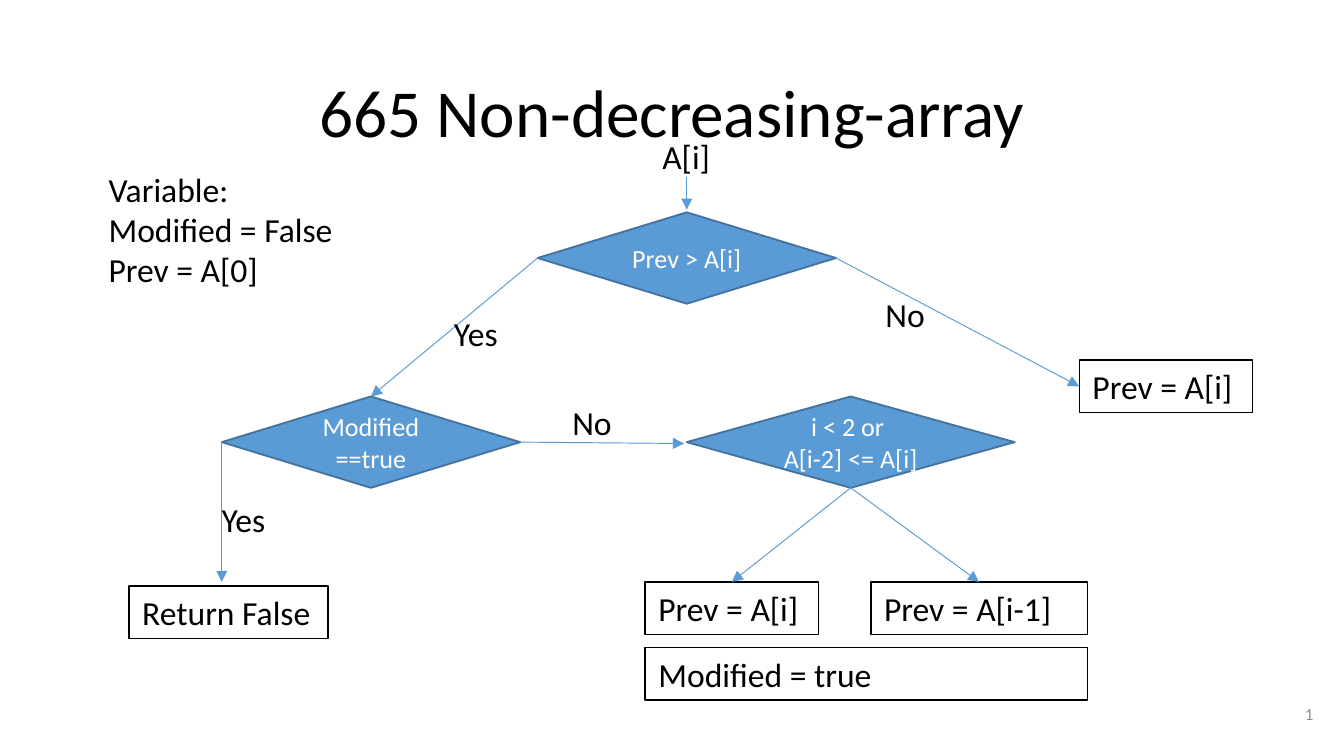
"""Build a flowchart slide for the non-decreasing array problem."""
from pptx import Presentation
from pptx.dml.color import RGBColor
from pptx.enum import shapes, text
from pptx.oxml.ns import qn
from pptx.util import Inches, Pt
from lxml import etree

BLACK = RGBColor(0, 0, 0)
WHITE = RGBColor(255, 255, 255)
GRAY = RGBColor(0x8C, 0x8C, 0x8C)
BLUE = RGBColor(0x5B, 0x9B, 0xD5)
DARK_BLUE = RGBColor(0x43, 0x73, 0x9E)
TOP, LEFT, BOTTOM, RIGHT = range(4)
MIDDLE = text.MSO_ANCHOR.MIDDLE
CENTER = text.PP_ALIGN.CENTER

TITLE = "665 Non-decreasing-array"
VARIABLES = ["Variable:", "Modified = False", "Prev = A[0]"]
LABELS = [
    ("A[i]", 4.83, 0.96, 0.56, False),
    ("Yes", 3.28, 2.28, 0.53, False),
    ("No", 6.49, 2.14, 0.5, False),
    ("Yes", 1.55, 3.66, 0.58, True),
    ("No", 4.16, 2.94, 0.53, True),
]
DECISIONS = {
    "compare": (["Prev > A[i]"], 4, 1.58, 2.22),
    "modified": (["Modified ==true"], 1.65, 2.95, 2.22),
    "before": (["i < 2 or ", "A[i-2] <= A[i]"], 5.11, 2.95, 2.44),
}
ACTIONS = {
    "fail": ("Return False", 0.96, 4.36, 1.48),
    "keep": ("Prev = A[i]", 4.8, 4.33, 1.29),
    "lower": ("Prev = A[i-1]", 6.48, 4.33, 1.61),
    "advance": ("Prev = A[i]", 8.03, 2.68, 1.29),
    "mark": ("Modified = true", 4.8, 4.82, 3.29),
}
ARROWS = [
    ((5.11, 1.32), (5.11, 1.56)),
    (("compare", LEFT), ("modified", TOP)),
    (("compare", RIGHT), ("advance", LEFT)),
    (("modified", LEFT), (1.65, 4.33)),
    (("modified", RIGHT), (5.09, 3.3)),
    (("before", BOTTOM), ("keep", TOP)),
    (("before", BOTTOM), ("lower", TOP)),
]


def write(sp, lines, size=18, color=BLACK, align=text.PP_ALIGN.LEFT,
          anchor=text.MSO_ANCHOR.TOP, wrap=True, spacing=None, inset=0.05):
    tf = sp.text_frame
    tf.word_wrap = wrap
    tf.vertical_anchor = anchor
    tf.margin_left = tf.margin_right = Inches(0.1)
    tf.margin_top = tf.margin_bottom = Inches(inset)
    for i, line in enumerate(lines):
        p = tf.paragraphs[0] if i == 0 else tf.add_paragraph()
        p.alignment = align
        p.line_spacing = spacing
        r = p.add_run()
        r.text = line
        r.font.size = Pt(size)
        r.font.name = "Calibri"
        r.font.color.rgb = color


def add_text(s, lines, x, y, w, h, **fmt):
    write(s.shapes.add_textbox(*map(Inches, (x, y, w, h))), lines, **fmt)


def add_box(s, kind, x, y, w, h, line, width, fill=None):
    sp = s.shapes.add_shape(kind, *map(Inches, (x, y, w, h)))
    sp.shadow.inherit = False
    if fill is None:
        sp.fill.background()
    else:
        sp.fill.solid()
        sp.fill.fore_color.rgb = fill
    sp.line.color.rgb = line
    sp.line.width = Pt(width)
    return sp


def add_arrow(s, nodes, start, end):
    points = [(0, 0) if pt[0] in nodes else pt for pt in (start, end)]
    c = s.shapes.add_connector(shapes.MSO_CONNECTOR.STRAIGHT,
                               *(Inches(v) for pt in points for v in pt))
    for pt, join in ((start, c.begin_connect), (end, c.end_connect)):
        if pt[0] in nodes:
            join(nodes[pt[0]], pt[1])
    c.line.color.rgb = BLUE
    c.line.width = Pt(0.5)
    etree.SubElement(c.line._get_or_add_ln(), qn("a:tailEnd"), type="triangle")
    etree.SubElement(c._element.spPr, qn("a:effectLst"))


def main():
    prs = Presentation()
    prs.slide_width = Inches(10)
    prs.slide_height = prs.slide_width * 9 // 16
    s = prs.slides.add_slide(prs.slide_layouts[6])

    add_text(s, [TITLE], 0.34, 0.49, 9.32, 0.63, size=36, align=CENTER,
             spacing=0.9, inset=0.1)
    add_text(s, ["1"], 9.27, 5.1, 0.6, 0.43, size=9, color=GRAY,
             align=text.PP_ALIGN.RIGHT, anchor=MIDDLE, inset=0.1)
    add_text(s, VARIABLES, 0.71, 1.19, 2.46, 1.03, anchor=MIDDLE)

    nodes = {}
    for name, (lines, x, y, w) in DECISIONS.items():
        nodes[name] = add_box(s, shapes.MSO_SHAPE.FLOWCHART_DECISION,
                              x, y, w, 0.68, DARK_BLUE, 1, BLUE)
        write(nodes[name], lines, size=14, color=WHITE, align=CENTER,
              anchor=MIDDLE)
    for name, (line, x, y, w) in ACTIONS.items():
        nodes[name] = add_box(s, shapes.MSO_SHAPE.RECTANGLE,
                              x, y, w, 0.39, BLACK, 0.75)
        write(nodes[name], [line], anchor=MIDDLE)

    for start, end in ARROWS:
        add_arrow(s, nodes, start, end)
    for label, x, y, w, wrap in LABELS:
        add_text(s, [label], x, y, w, 0.4, wrap=wrap)

    prs.save("out.pptx")


if __name__ == "__main__":
    main()
